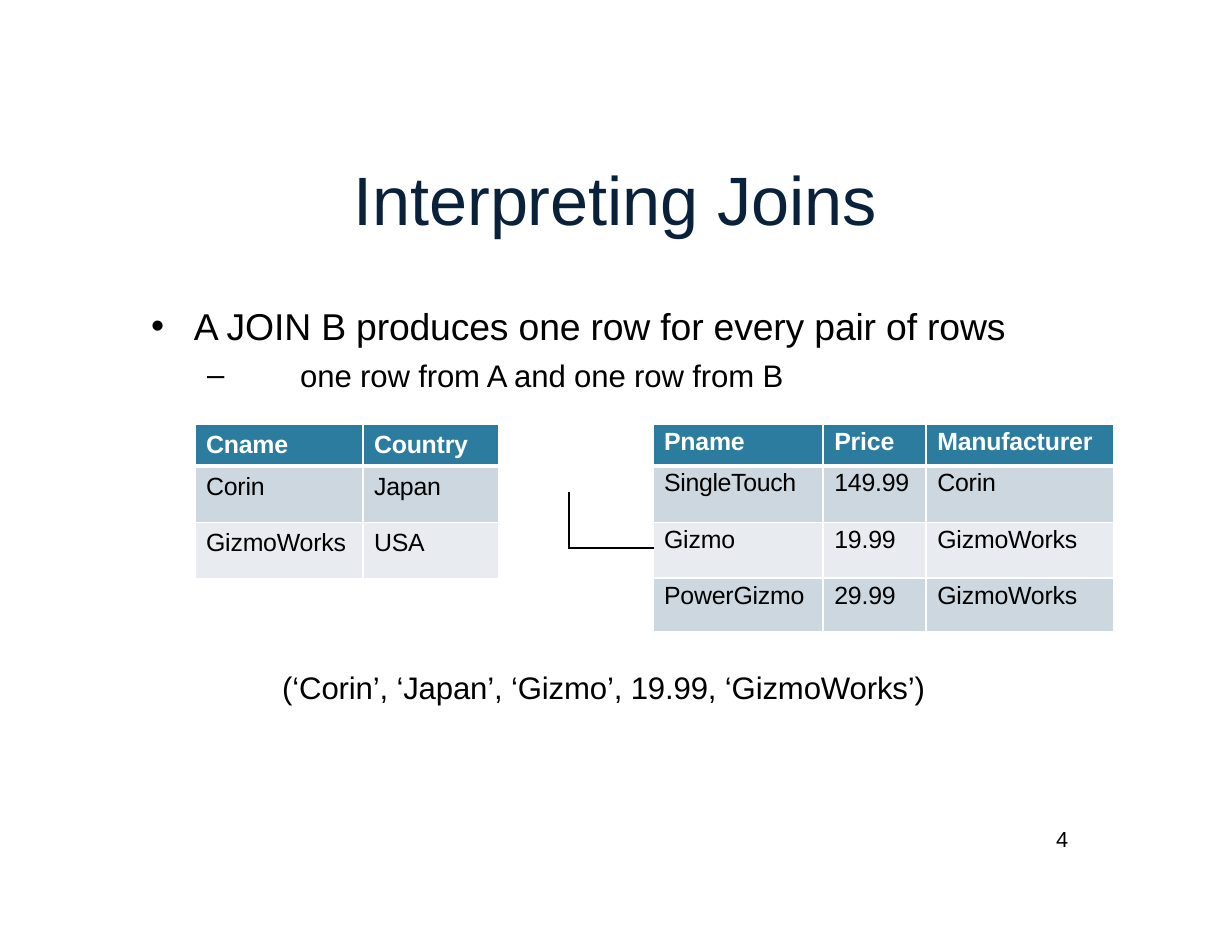
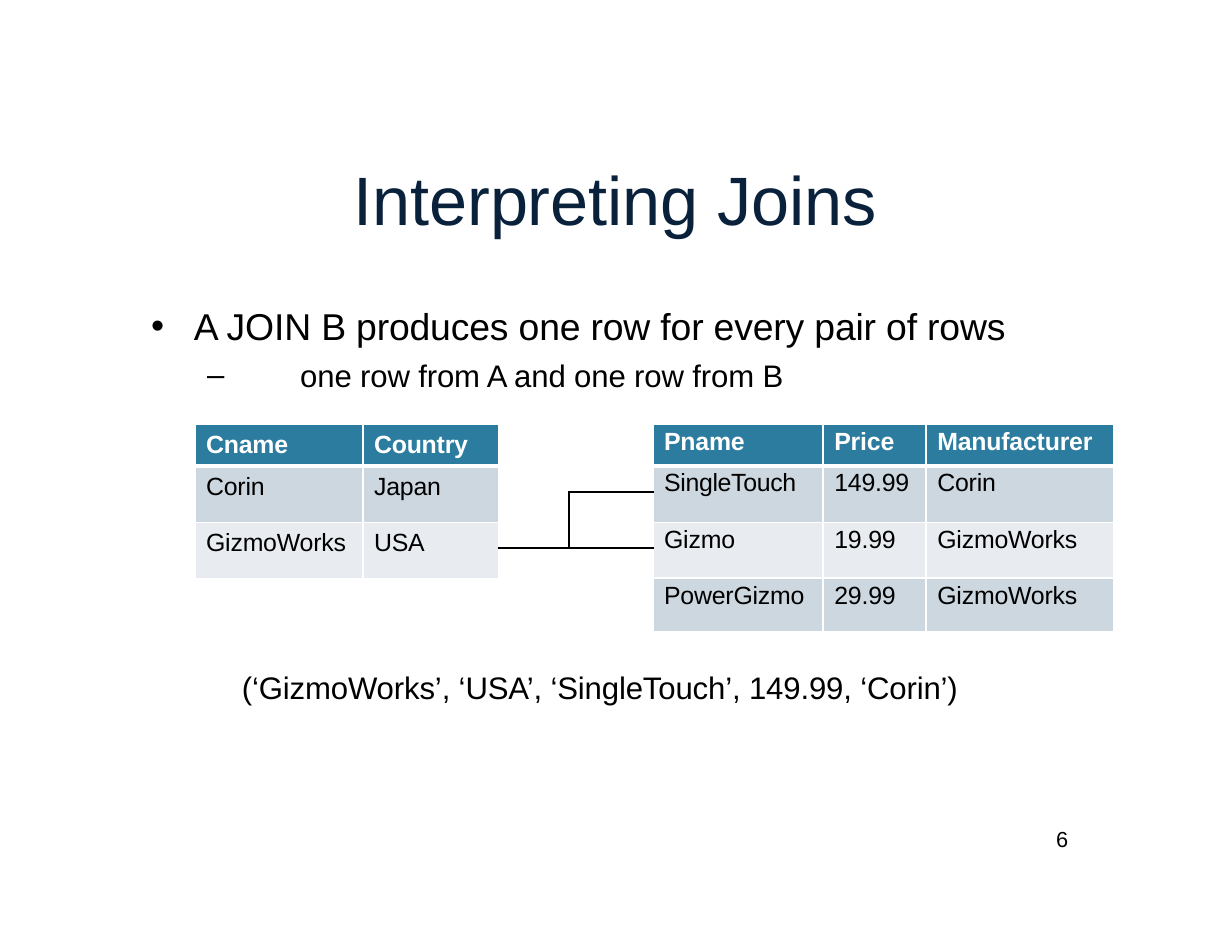
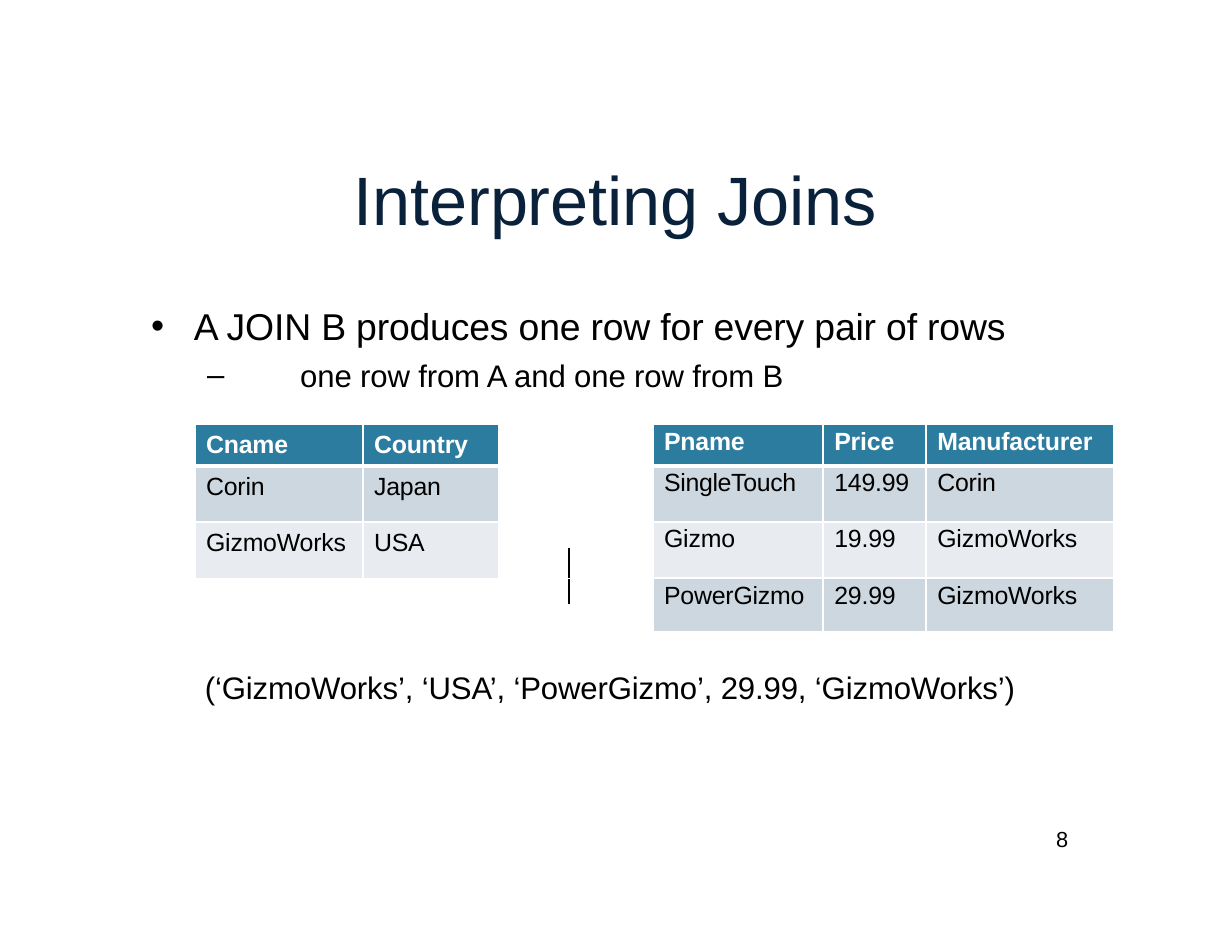
from dataclasses import dataclass

from pptx import Presentation
from pptx.dml.color import RGBColor
from pptx.enum.text import MSO_ANCHOR, MSO_AUTO_SIZE, PP_ALIGN
from pptx.oxml.ns import qn
from pptx.oxml.xmlchemy import OxmlElement
from pptx.util import Inches, Pt

LEFT, TOP = PP_ALIGN.LEFT, MSO_ANCHOR.TOP
GROW = MSO_AUTO_SIZE.SHAPE_TO_FIT_TEXT
TITLE_AND_CONTENT = 1
NO_STYLE = "{2D5ABB26-0587-4C30-8999-92F81FD0307C}"


@dataclass(frozen=True)
class Theme:
    font: str = "Arial"
    title: str = "09213B"
    text: str = "000000"
    white: str = "FFFFFF"
    header: str = "2C7C9F"
    bands: tuple = ("CDD7DF", "E8ECF0")
    title_size: int = 44
    list_size: int = 24
    body_size: int = 20
    cell_size: int = 16
    number_size: int = 14
    tracking: float = -0.1


THEME = Theme()
WHITE_EDGE = {side: (THEME.white, 1) for side in "LRTB"}
HEADER_EDGES = {**WHITE_EDGE, "B": (THEME.white, 3)}

COLUMN_WIDTHS = (1.5, 1.21, 0.63, 0.75, 1.52, 0.92, 1.67)
COMPANY_COLUMN, PRODUCT_COLUMN = 0, 4
COMPANIES = (("Cname", "Country"), ("Corin", "Japan"), ("GizmoWorks", "USA"))
PRODUCTS = (
    ("Pname", "Price", "Manufacturer"),
    ("SingleTouch", "149.99", "Corin"),
    ("Gizmo", "19.99", "GizmoWorks"),
    ("PowerGizmo", "29.99", "GizmoWorks"),
)

# Each gap is (row, column, row span, column span, white sides, black sides).
UPPER_ROWS = dict(heights=(0.37, 0.23, 0.27, 0.23, 0.27, 0.48), starts=(0, 1, 3, 5, 6))
LOWER_ROWS = dict(heights=(0.37, 0.5, 0.23, 0.27, 0.23, 0.25), starts=(0, 1, 2, 4, 6))
UPPER_GAP = (0, 2, 2, 2, "LR", "")
BOTTOM_GAP = (5, 0, 1, 4, "TR", "")
JOINS = (
    dict(number="4", width=5.98, rows=UPPER_ROWS,
         result="(‘Corin’, ‘Japan’, ‘Gizmo’, 19.99, ‘GizmoWorks’)",
         gaps=(UPPER_GAP, (2, 2, 2, 1, "L", "R"), (2, 3, 2, 1, "R", "LB"),
               (4, 2, 1, 2, "LR", ""), BOTTOM_GAP)),
    dict(number="6", width=6.7, rows=UPPER_ROWS,
         result="(‘GizmoWorks’, ‘USA’, ‘SingleTouch’, 149.99, ‘Corin’)",
         gaps=(UPPER_GAP, (2, 2, 2, 1, "L", "RB"), (2, 3, 2, 1, "R", "LT"),
               (4, 2, 1, 2, "LR", "T"), BOTTOM_GAP)),
    dict(number="8", width=7.36, rows=LOWER_ROWS,
         result="(‘GizmoWorks’, ‘USA’, ‘PowerGizmo’, 29.99, ‘GizmoWorks’)",
         gaps=((0, 2, 3, 2, "LR", ""), (3, 2, 1, 1, "L", "R"), (3, 3, 2, 1, "R", "LB"),
               (4, 0, 1, 3, "T", "R"), (5, 0, 1, 4, "R", ""))),
)


def add_element(parent, tag, **attributes):
    element = OxmlElement(tag)
    for name, value in attributes.items():
        element.set(name, str(value))
    parent.append(element)
    return element


def write(paragraph, text, *, size, color=THEME.text, bold=False, indent=0.0, hanging=0.0,
          bullet=None, before=0, line=None, tracking=THEME.tracking):
    properties = paragraph._p.get_or_add_pPr()
    properties.set("marL", str(Inches(indent)))
    properties.set("indent", str(Inches(hanging)))
    if bullet:
        add_element(properties, "a:buFont", typeface=THEME.font)
        add_element(properties, "a:buChar", char=bullet)
    else:
        add_element(properties, "a:buNone")
    paragraph.alignment = LEFT
    paragraph.space_before = Pt(before)
    if line:
        paragraph.line_spacing = Pt(line)
    run = paragraph.add_run()
    run.text = text
    run.font.name = THEME.font
    run.font.size = Pt(size)
    run.font.bold = bold
    run.font.color.rgb = RGBColor.from_string(color)
    run._r.get_or_add_rPr().set("spc", str(round(tracking * 100)))


def prepare_frame(shape, left, top, width, height, inset=0.01):
    """Place a text shape and return its frame, with a top inset only."""
    shape.left, shape.top = Inches(left), Inches(top)
    shape.width, shape.height = Inches(width), Inches(height)
    frame = shape.text_frame
    frame.word_wrap = True
    frame.auto_size = GROW
    frame.vertical_anchor = TOP
    frame.margin_left = frame.margin_right = frame.margin_bottom = 0
    frame.margin_top = Inches(inset)
    return frame


def add_text(slide, text, left, top, width, height, inset=0.01, **text_format):
    shape = slide.shapes.add_textbox(0, 0, 0, 0)
    frame = prepare_frame(shape, left, top, width, height, inset)
    write(frame.paragraphs[0], text, **text_format)


def add_title(slide, text):
    frame = prepare_frame(slide.shapes.title, 3.14, 1.39, 4.73, 0.76)
    write(frame.paragraphs[0], text, size=THEME.title_size, color=THEME.title, indent=0.02)


def add_list(slide, point, detail):
    frame = prepare_frame(slide.placeholders[1], 1.34, 2.61, 7.74, 0.91, inset=0.1)
    write(frame.paragraphs[0], point, size=THEME.list_size, bullet="•",
          indent=0.39, hanging=-0.38)
    write(frame.add_paragraph(), detail, size=THEME.body_size, bullet="–",
          indent=1.34, hanging=-0.83, before=4.9)


def format_cell(cell, edges, fill=None, inset=0.0):
    cell.margin_left = cell.margin_right = cell.margin_bottom = 0
    cell.margin_top = Inches(inset)
    properties = cell._tc.get_or_add_tcPr()
    for side in "LRTB":
        if side in edges:
            color, width = edges[side]
            line = add_element(properties, f"a:ln{side}", w=Pt(width))
            solid = add_element(line, "a:solidFill")
            add_element(solid, "a:srgbClr", val=color)
    if fill:
        cell.fill.solid()
        cell.fill.fore_color.rgb = RGBColor.from_string(fill)
    else:
        cell.fill.background()


def fill_relation(table, records, first_column, starts, inset, divider):
    """Write one relation; divider is the line width below its second record."""
    for index, record in enumerate(records):
        top, bottom = starts[index], starts[index + 1] - 1
        if index == 0:
            fill, color, edges = THEME.header, THEME.white, HEADER_EDGES
        else:
            fill, color = THEME.bands[(index - 1) % 2], THEME.text
            above, below = ((3, 1), (1, divider), (divider, divider))[index - 1]
            edges = {**WHITE_EDGE, "T": (THEME.white, above), "B": (THEME.white, below)}
        for column, value in enumerate(record, first_column):
            cell = table.cell(top, column)
            if bottom > top:
                cell.merge(table.cell(bottom, column))
            format_cell(cell, edges, fill, inset)
            write(cell.text_frame.paragraphs[0], value, size=THEME.cell_size, color=color,
                  bold=index == 0, indent=0.1,
                  tracking=-0.2 if value == "SingleTouch" else THEME.tracking)


def add_join_table(slide, heights, starts, gaps):
    """Draw both relations in one table; borders in the gap mark the joined pair."""
    frame = slide.shapes.add_table(len(heights), len(COLUMN_WIDTHS), Inches(1.74), Inches(3.79),
                                   Inches(sum(COLUMN_WIDTHS)), Inches(sum(heights)))
    next(frame.element.iter(qn("a:tableStyleId"))).text = NO_STYLE
    table = frame.table
    table.first_row = table.horz_banding = False
    for column, width in zip(table.columns, COLUMN_WIDTHS):
        column.width = Inches(width)
    for row, height in zip(table.rows, heights):
        row.height = Inches(height)
    fill_relation(table, COMPANIES, COMPANY_COLUMN, starts, 0.06, 1)
    fill_relation(table, PRODUCTS, PRODUCT_COLUMN, starts, 0.03, 1.5)
    for row, column, row_span, column_span, white, black in gaps:
        cell = table.cell(row, column)
        if row_span * column_span > 1:
            cell.merge(table.cell(row + row_span - 1, column + column_span - 1))
        edges = {side: (THEME.white, 1) for side in white}
        edges.update({side: (THEME.text, 1) for side in black})
        format_cell(cell, edges)
        cell.text_frame.paragraphs[0].font.size = Pt(THEME.number_size)


def add_join_slide(presentation, number, result, width, rows, gaps):
    slide = presentation.slides.add_slide(presentation.slide_layouts[TITLE_AND_CONTENT])
    add_text(slide, number, 9.39, 7.38, 0.3, 0.25, inset=0, size=THEME.number_size,
             indent=0.04, line=16.4)
    add_title(slide, "Interpreting Joins")
    add_list(slide, "A JOIN B produces one row for every pair of rows",
             "one row from A and one row from B")
    add_text(slide, result, 5.5 - width / 2, 5.96, width, 0.36, size=THEME.body_size,
             indent=0.01)
    add_join_table(slide, gaps=gaps, **rows)


def main():
    presentation = Presentation()
    presentation.slide_width, presentation.slide_height = Inches(11), Inches(8.5)
    for join in JOINS:
        add_join_slide(presentation, **join)
    presentation.save("out.pptx")


if __name__ == "__main__":
    main()
